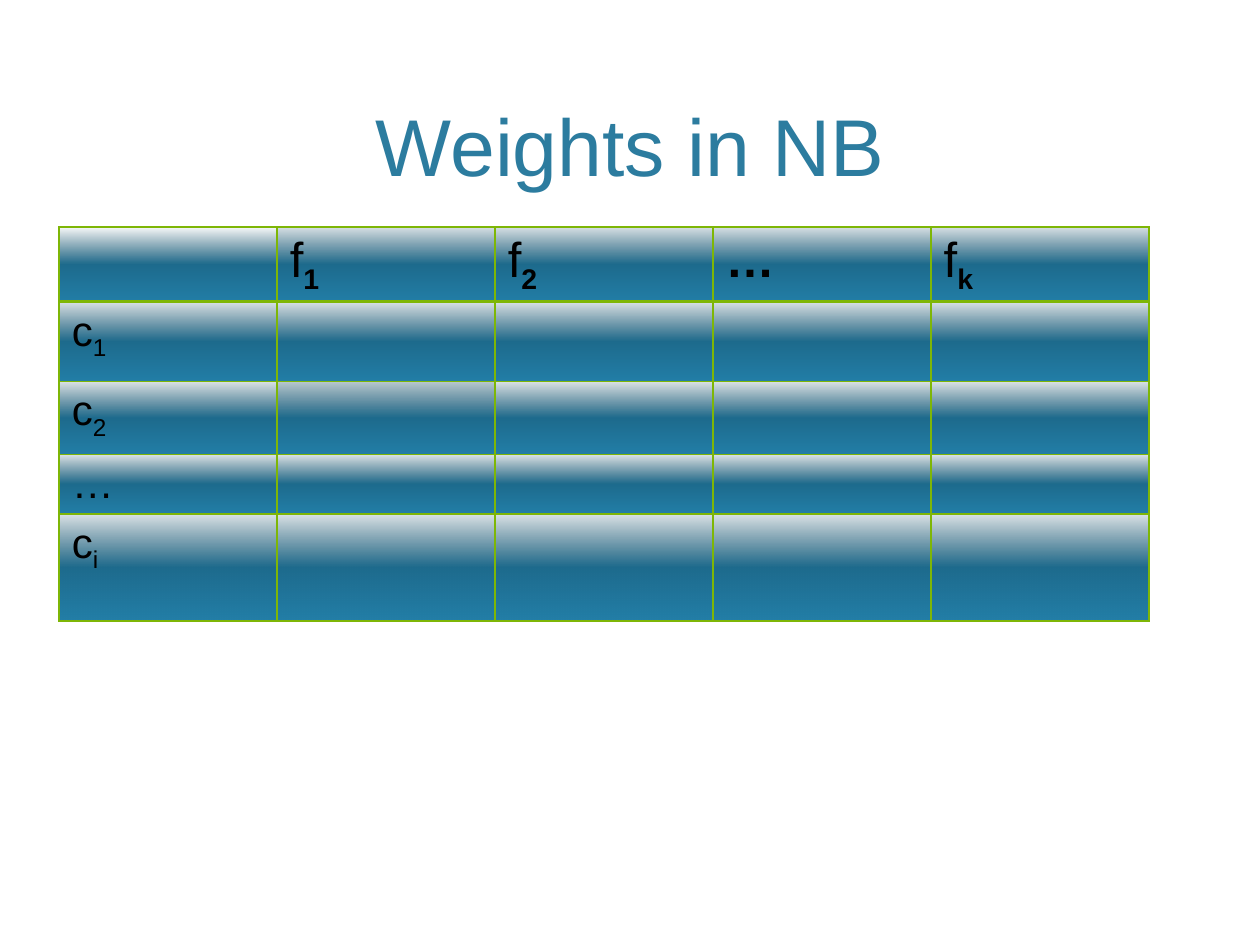
from dataclasses import dataclass

from lxml import etree
from pptx import Presentation
from pptx.dml.color import RGBColor
from pptx.enum.text import MSO_ANCHOR, PP_ALIGN
from pptx.oxml.ns import qn
from pptx.util import Inches, Pt

CENTER = PP_ALIGN.CENTER
BOTTOM = MSO_ANCHOR.BOTTOM
TITLE_ONLY_LAYOUT = 5


@dataclass(frozen=True)
class Theme:
    font: str = "Arial"
    title_color: str = "2C7C9F"
    text_color: str = "000000"
    border_color: str = "7EB606"
    gradient: tuple[str, ...] = ("154B63", "1E6B8D", "237FA8")
    title_size: int = 46
    header_size: int = 28
    label_size: int = 24


@dataclass(frozen=True)
class Label:
    base: str
    subscript: str = ""


THEME = Theme()
FEATURES = [Label("f", "1"), Label("f", "2"), Label("…"), Label("f", "k")]
CLASSES = [Label("c", "1"), Label("c", "2"), Label("…"), Label("c", "i")]
ROW_HEIGHTS = [0.52, 0.63, 0.58, 0.46, 0.85]
COLUMN_WIDTH = 1.73
TOP_OPACITY = 14
SPECIAL_OPACITY = {(0, 0): 0, (2, 1): 29}


def add_text(paragraph, text: str, *, size: int, color: str = THEME.text_color,
             bold: bool = False, subscript: bool = False) -> None:
    run = paragraph.add_run()
    run.text = text
    font = run.font
    font.name, font.size, font.bold = THEME.font, Pt(size), bold
    font.color.rgb = RGBColor.from_string(color)
    if subscript:
        run._r.get_or_add_rPr().set("baseline", "-25000")


def add_label(cell, label: Label, *, size: int, heading: bool = False) -> None:
    """Write a base letter with its subscript; headings embolden all but the letter."""
    paragraph = cell.text_frame.paragraphs[0]
    add_text(paragraph, label.base, size=size, bold=heading and not label.subscript)
    if label.subscript:
        add_text(paragraph, label.subscript, size=size, bold=heading, subscript=True)


def add_color(parent, color: str):
    return etree.SubElement(parent, qn("a:srgbClr"), val=color)


def style_cell(cell, *, top_opacity: int, bottom_width: int) -> None:
    """Add the borders and a downward gradient that fades in from the top."""
    properties = cell._tc.get_or_add_tcPr()
    for side, width in (("L", 1), ("R", 1), ("T", 1), ("B", bottom_width)):
        line = etree.SubElement(properties, qn(f"a:ln{side}"), w=str(Pt(width)))
        add_color(etree.SubElement(line, qn("a:solidFill")), THEME.border_color)

    fill = etree.SubElement(properties, qn("a:gradFill"), rotWithShape="1")
    stops = etree.SubElement(fill, qn("a:gsLst"))
    for index, color in enumerate(THEME.gradient):
        stop = etree.SubElement(stops, qn("a:gs"), pos=str(index * 50000))
        stop_color = add_color(stop, color)
        if index == 0:
            etree.SubElement(stop_color, qn("a:alpha"), val=str(top_opacity * 1000))
    etree.SubElement(fill, qn("a:lin"), ang="5400000", scaled="0")


def add_title(slide, text: str) -> None:
    title = slide.shapes.title
    title.left, title.top = Inches(0.6), Inches(0.12)
    title.width, title.height = Inches(8.8), Inches(1.46)
    title.text_frame.vertical_anchor = BOTTOM
    paragraph = title.text_frame.paragraphs[0]
    paragraph.alignment = CENTER
    add_text(paragraph, text, size=THEME.title_size, color=THEME.title_color)


def add_weight_table(slide) -> None:
    row_count, column_count = len(CLASSES) + 1, len(FEATURES) + 1
    table = slide.shapes.add_table(
        row_count, column_count, Inches(0.47), Inches(1.8),
        Inches(COLUMN_WIDTH * column_count), Inches(sum(ROW_HEIGHTS))).table
    for column in table.columns:
        column.width = Inches(COLUMN_WIDTH)
    for row, height in zip(table.rows, ROW_HEIGHTS):
        row.height = Inches(height)

    for row in range(row_count):
        for column in range(column_count):
            style_cell(table.cell(row, column),
                       top_opacity=SPECIAL_OPACITY.get((row, column), TOP_OPACITY),
                       bottom_width=2 if row == 0 else 1)
    for column, feature in enumerate(FEATURES, start=1):
        add_label(table.cell(0, column), feature, size=THEME.header_size, heading=True)
    for row, class_label in enumerate(CLASSES, start=1):
        add_label(table.cell(row, 0), class_label, size=THEME.label_size)


def main() -> None:
    presentation = Presentation()
    presentation.slide_width, presentation.slide_height = Inches(10), Inches(7.5)
    slide = presentation.slides.add_slide(presentation.slide_layouts[TITLE_ONLY_LAYOUT])
    add_title(slide, "Weights in NB")
    add_weight_table(slide)
    presentation.save("out.pptx")


if __name__ == "__main__":
    main()
